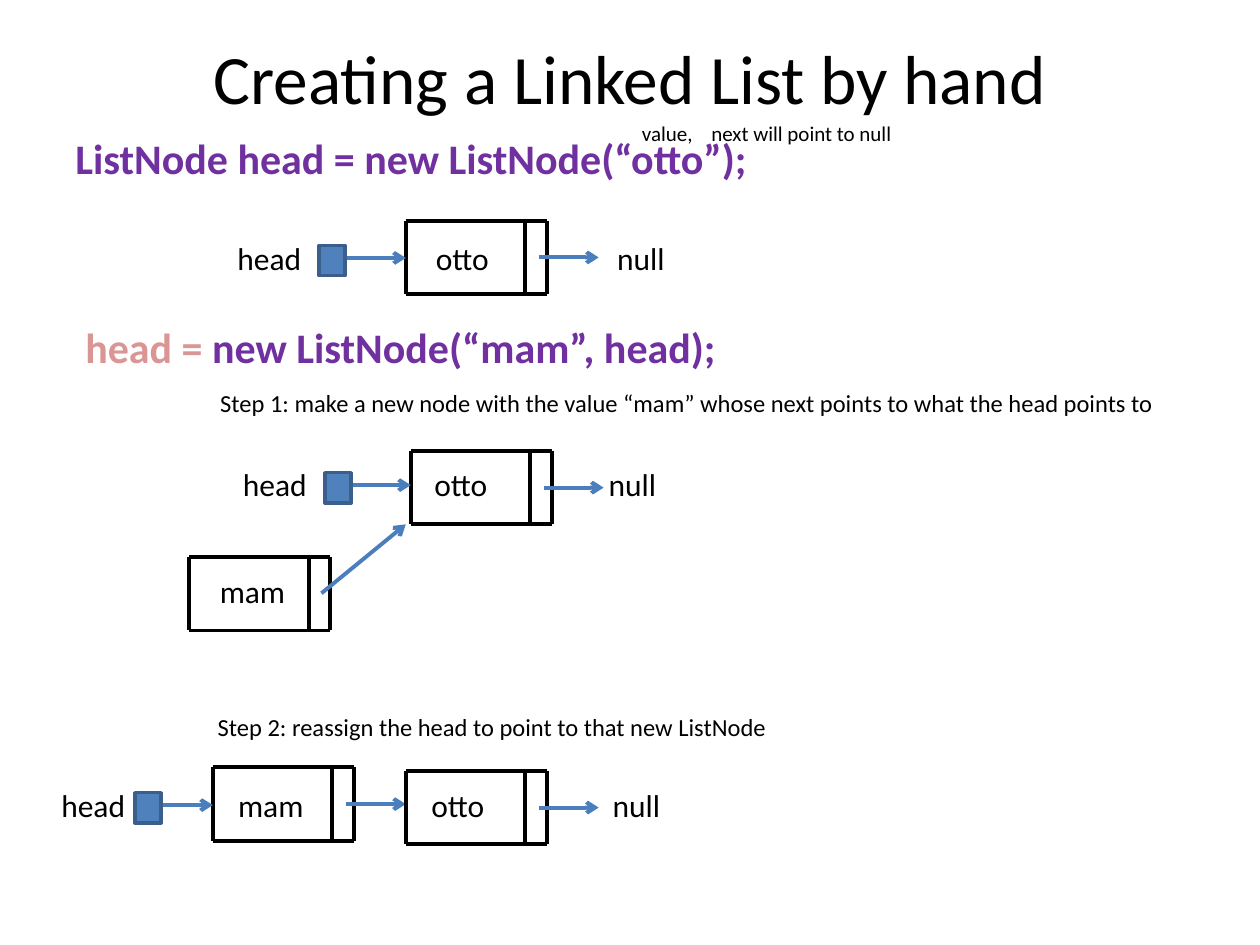
from lxml.etree import SubElement
from pptx import Presentation
from pptx.dml.color import RGBColor
from pptx.enum.shapes import MSO_CONNECTOR, MSO_SHAPE
from pptx.enum.text import MSO_ANCHOR, PP_ALIGN
from pptx.oxml.ns import qn
from pptx.util import Cm, Pt

BLACK = RGBColor(0x00, 0x00, 0x00)
PURPLE = RGBColor(0x70, 0x30, 0xA0)
ROSE = RGBColor(0xD9, 0x96, 0x94)
ARROW_BLUE = RGBColor(0x4B, 0x7E, 0xBC)
BOX_BLUE = RGBColor(0x4F, 0x81, 0xBD)
BOX_EDGE = RGBColor(0x3A, 0x5F, 0x8C)

# Node measures in centimetres
NODE_W, NODE_H, DIVIDER = 2.84, 1.48, 2.41
NEXT_START, ARROW_LENGTH = 2.69, 1.2
POINTER_W, POINTER_H = 0.53, 0.61


def add_text(slide, text, left, top, width, height, *, size=18, color=BLACK,
             bold=False, align=PP_ALIGN.LEFT, anchor=MSO_ANCHOR.TOP, wrap=True):
    """Add a text box; text is a string or a list of (string, colour) runs."""
    frame = slide.shapes.add_textbox(Cm(left), Cm(top), Cm(width), Cm(height)).text_frame
    frame.word_wrap = wrap
    frame.vertical_anchor = anchor
    paragraph = frame.paragraphs[0]
    paragraph.alignment = align
    for words, run_color in [(text, color)] if isinstance(text, str) else text:
        run = paragraph.add_run()
        run.text = words
        run.font.name = "Calibri"
        run.font.size = Pt(size)
        run.font.bold = bold
        run.font.color.rgb = run_color


def add_label(slide, text, center_x, center_y):
    add_text(slide, text, center_x - 1, center_y - 0.51, 2, 1.02,
             align=PP_ALIGN.CENTER, anchor=MSO_ANCHOR.MIDDLE)


def add_line(slide, start, end, color=BLACK, arrow=False):
    line = slide.shapes.add_connector(
        MSO_CONNECTOR.STRAIGHT, *(Cm(value) for value in (*start, *end)))
    line.line.color.rgb = color
    line.line.width = Pt(2.25)
    if arrow:
        SubElement(line.line._get_or_add_ln(), qn("a:tailEnd"), type="arrow")
    SubElement(line._element.spPr, qn("a:effectLst"))


def add_arrow(slide, start, end):
    add_line(slide, start, end, ARROW_BLUE, arrow=True)


def add_node(slide, value, left, top, label_x, label_y, has_next=True):
    """Draw a value cell and a next cell, with an arrow to the right if has_next."""
    right, bottom = left + NODE_W, top + NODE_H
    for y in (top, bottom):
        add_line(slide, (left, y), (right, y))
    for x in (left, left + DIVIDER, right):
        add_line(slide, (x, top), (x, bottom))
    if has_next:
        start, middle = left + NEXT_START, top + NODE_H / 2
        add_arrow(slide, (start, middle), (start + ARROW_LENGTH, middle))
    add_label(slide, value, label_x, label_y)


def add_head(slide, left, top, node_left, label_x, label_y):
    """Draw the head variable and its arrow to the node that starts at node_left."""
    arrow_y = top + 0.25
    add_arrow(slide, (node_left - ARROW_LENGTH, arrow_y), (node_left, arrow_y))
    pointer = slide.shapes.add_shape(
        MSO_SHAPE.RECTANGLE, Cm(left), Cm(top), Cm(POINTER_W), Cm(POINTER_H))
    pointer.shadow.inherit = False
    pointer.fill.solid()
    pointer.fill.fore_color.rgb = BOX_BLUE
    pointer.line.color.rgb = BOX_EDGE
    pointer.line.width = Pt(2)
    add_label(slide, "head", label_x, label_y)


def add_first_node(slide, left, top):
    add_text(slide, "ListNode head = new ListNode(“otto”);", left, top, 21.39, 1.7,
             size=24, color=PURPLE, bold=True)
    add_text(slide, "value,", left + 11.42, top - 0.23, 1.6, 0.76, size=12, wrap=False)
    add_text(slide, "next will point to null", left + 12.82, top - 0.23, 4.3, 0.76,
             size=12, wrap=False)
    label_y, node_left = top + 2.66, left + 6.91
    add_node(slide, "otto", node_left, top + 1.91, left + 8.05, label_y)
    add_head(slide, left + 5.16, top + 2.41, node_left, left + 4.16, label_y)
    add_label(slide, "null", left + 11.65, label_y)


def add_step_one(slide, left, top):
    add_text(slide, [("head = ", ROSE), ("new ListNode(“mam”, head);", PURPLE)],
             left, top, 22.23, 1.27, size=24, bold=True)
    add_text(slide, "Step 1: make a new node with the value “mam” whose next points "
             "to what the head points to", left + 2.72, top + 1.35, 19.53, 0.86, size=14)
    label_y, node_left, node_top = top + 3.4, left + 6.81, top + 2.74
    add_node(slide, "otto", node_left, node_top, left + 7.82, label_y)
    add_head(slide, left + 5.08, top + 3.18, node_left, left + 4.07, label_y)
    add_label(slide, "null", left + 11.28, label_y)
    add_node(slide, "mam", left + 2.34, top + 4.88, left + 3.62, top + 5.56,
             has_next=False)
    add_arrow(slide, (left + 5.01, top + 5.61), (left + 6.71, node_top + NODE_H))


def add_step_two(slide, left, top):
    add_text(slide, "Step 2: reassign the head to point to that new ListNode",
             left + 3.3, top, 19.53, 0.86, size=14)
    label_y, mam_left = top + 2.01, left + 3.45
    add_node(slide, "mam", mam_left, top + 1.25, left + 4.62, label_y)
    add_node(slide, "otto", left + 7.34, top + 1.32, left + 8.39, label_y)
    add_head(slide, left + 1.88, top + 1.76, mam_left, left + 1.04, label_y)
    add_label(slide, "null", left + 11.99, label_y)


def main():
    deck = Presentation()
    deck.slide_width, deck.slide_height = Cm(25.4), Cm(19.05)
    slide = deck.slides.add_slide(deck.slide_layouts[6])
    add_text(slide, "Creating a Linked List by hand", 1.27, 0.76, 22.86, 1.57,
             size=39.6, align=PP_ALIGN.CENTER, anchor=MSO_ANCHOR.MIDDLE)
    add_first_node(slide, 1.27, 2.54)
    add_step_one(slide, 1.47, 6.35)
    add_step_two(slide, 0.84, 14.22)
    deck.save("out.pptx")


if __name__ == "__main__":
    main()
